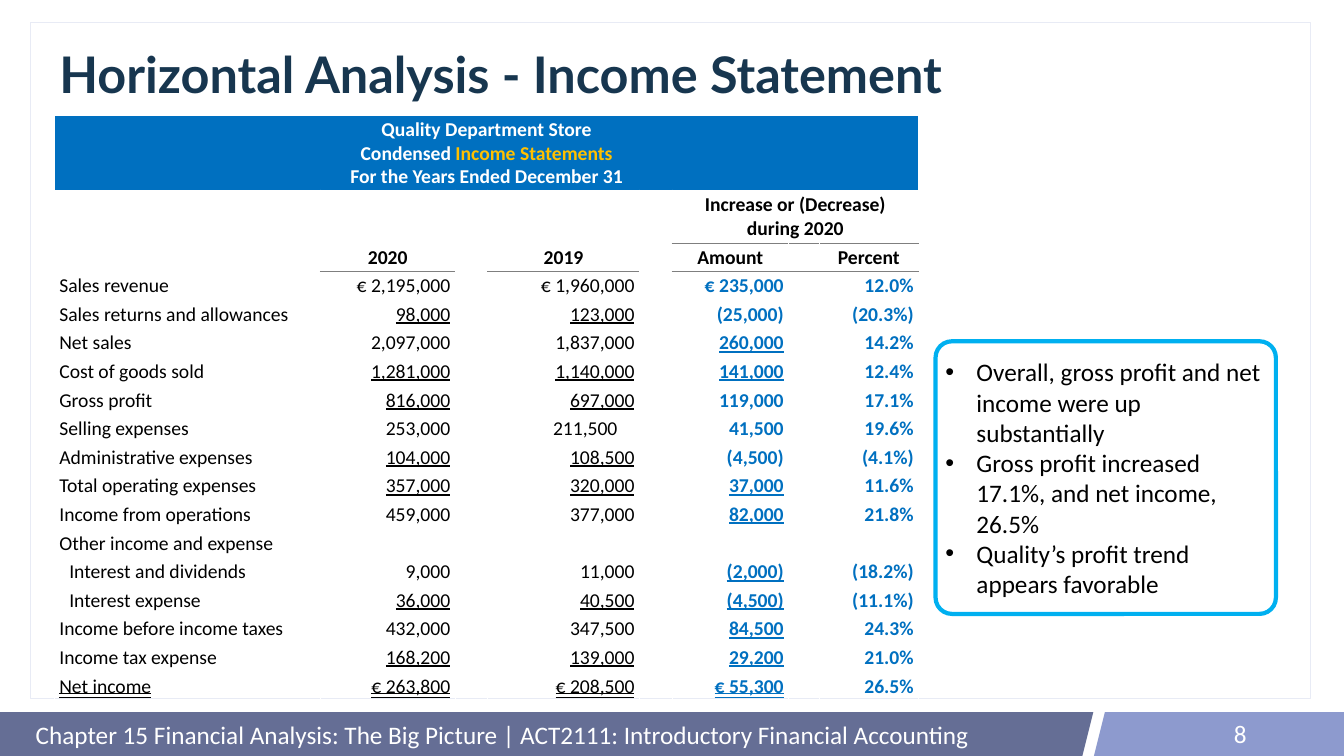
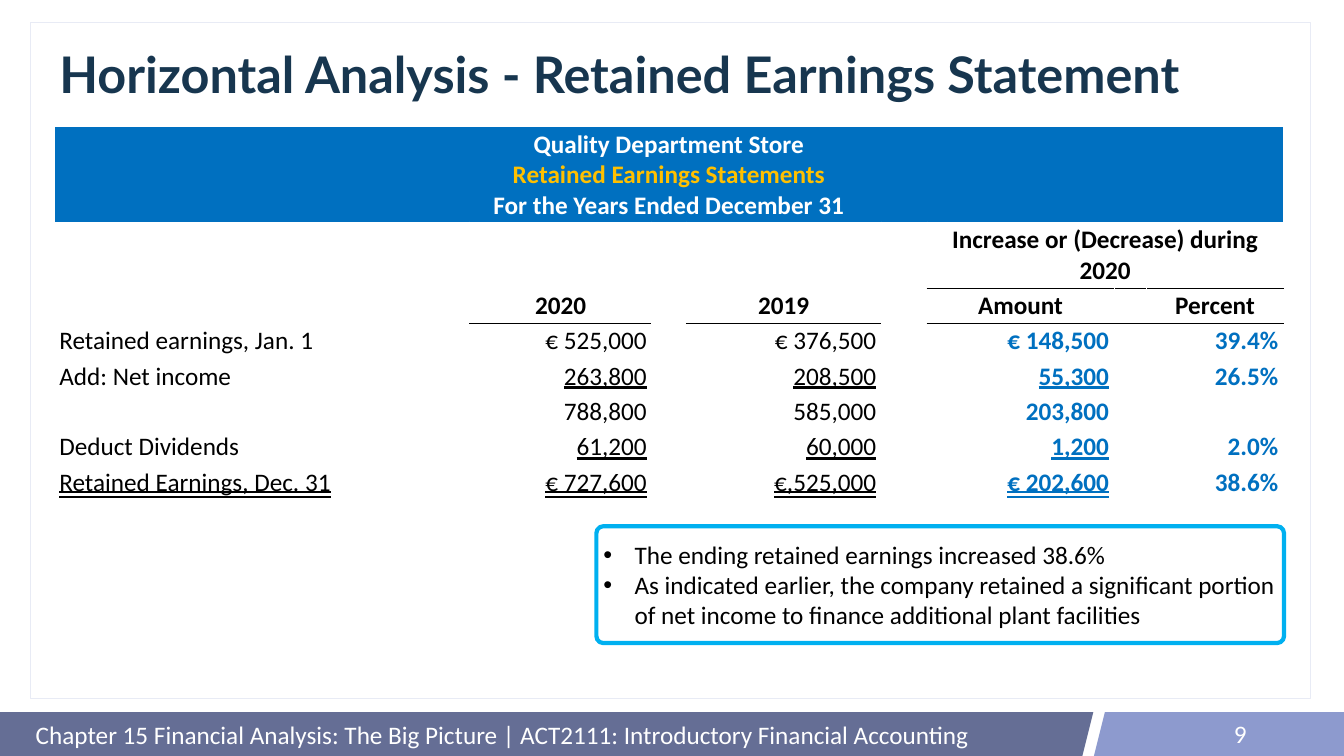
import dataclasses
from typing import Any

import pptx
import pptx.dml.color
import pptx.enum.shapes
import pptx.enum.text
import pptx.oxml
import pptx.oxml.ns
import pptx.util

Cm = pptx.util.Cm
Pt = pptx.util.Pt
SHAPE = pptx.enum.shapes.MSO_SHAPE
ALIGN = pptx.enum.text.PP_ALIGN
MIDDLE = pptx.enum.text.MSO_ANCHOR.MIDDLE
DOUBLE = pptx.enum.text.MSO_UNDERLINE.DOUBLE_LINE

COLORS = {
    "white": "FFFFFF", "black": "000000", "navy": "17364F", "slate": "656E95",
    "periwinkle": "8D9ACE", "frame": "E8EBF5", "blue": "0070C0",
    "gold": "FFC000", "sky": "00B0F0", "grey": "7F7F7F",
}
TITLE = {"name": "Lato", "size": Pt(72), "bold": True}
BODY = {"name": "Calibri", "size": Pt(36), "bold": False}
FOOTER = "Chapter 15 Financial Analysis: The Big Picture | ACT2111: Introductory Financial Accounting"
COMPANY, PERIOD = "Quality Department Store", "For the Years Ended December 31"
HEADINGS = {1: "2020", 3: "2019", 5: "Amount", 7: "Percent"}
# Columns with a rule below them, by row
RULED = {1: (5, 6, 7), 2: (1, 3, 5, 6, 7)}
HEAD_ROWS = 3


@dataclasses.dataclass
class Box:
    left: float
    top: float
    width: float
    height: float

    def cm(self) -> list[int]:
        return [Cm(v) for v in dataclasses.astuple(self)]


@dataclasses.dataclass
class Band:
    box: Box
    kind: Any
    color: str


@dataclasses.dataclass
class Line:
    """One statement line; under is years, amount, all or double."""
    label: str
    y2020: str = ""
    y2019: str = ""
    amount: str = ""
    percent: str = ""
    under: str = ""
    indent: float = 0
    inset_2019: float = 0.25

    def underline(self, col: int) -> Any:
        if self.under == "double" and col < 7:
            return DOUBLE
        marked = {"years": (1, 3), "amount": (5,), "all": (1, 3, 5)}
        return col in marked.get(self.under, ())


@dataclasses.dataclass
class Statement:
    title: str
    number: int
    heading: list[tuple[str, str]]
    top: float
    columns: list[float]
    head_heights: list[float]
    row_height: float
    size: int
    rule: str
    lines: list[Line]
    note_box: Box
    notes: list[str]


BANDS = [
    Band(Box(0, 35.89, 50.67, 2.21), SHAPE.RECTANGLE, "slate"),
    Band(Box(44.17, 35.89, 10.92, 2.21), SHAPE.PARALLELOGRAM, "slate"),
    Band(Box(55.12, 35.89, 10.92, 2.21), SHAPE.PARALLELOGRAM, "periwinkle"),
    Band(Box(56.82, 35.89, 10.9, 2.21), SHAPE.RECTANGLE, "periwinkle"),
]

STATEMENTS = [
    Statement(
        "Horizontal Analysis - Income Statement", 8,
        [("Condensed ", "white"), ("Income Statements", "gold")],
        5.79, [13.39, 6.81, 1.63, 7.65, 1.63, 5.89, 1.52, 5.03],
        [3.78, 2.64, 1.44], 1.44, 28, "grey",
        [
            Line("Sales revenue", "€ 2,195,000", "€ 1,960,000", "€ 235,000", "12.0%"),
            Line("Sales returns and allowances", "98,000", "123,000", "(25,000)", "(20.3%)", "years"),
            Line("Net sales", "2,097,000", "1,837,000", "260,000", "14.2%", "amount"),
            Line("Cost of goods sold", "1,281,000", "1,140,000", "141,000", "12.4%", "all"),
            Line("Gross profit", "816,000", "697,000", "119,000", "17.1%", "years"),
            Line("Selling expenses", "253,000", "211,500", "41,500", "19.6%", inset_2019=1.11),
            Line("Administrative expenses", "104,000", "108,500", "(4,500)", "(4.1%)", "years"),
            Line("Total operating expenses", "357,000", "320,000", "37,000", "11.6%", "all"),
            Line("Income from operations", "459,000", "377,000", "82,000", "21.8%", "amount"),
            Line("Other income and expense"),
            Line("Interest and dividends", "9,000", "11,000", "(2,000)", "(18.2%)", "amount", 0.5),
            Line("Interest expense", "36,000", "40,500", "(4,500)", "(11.1%)", "all", 0.5),
            Line("Income before income taxes", "432,000", "347,500", "84,500", "24.3%", "amount"),
            Line("Income tax expense", "168,200", "139,000", "29,200", "21.0%", "all"),
            Line("Net income", "€ 263,800", "€ 208,500", "€ 55,300", "26.5%", "double"),
        ],
        Box(47.14, 17.2, 17.15, 13.74),
        ["Overall, gross profit and net income were up substantially",
         "Gross profit increased 17.1%, and net income, 26.5%",
         "Quality’s profit trend appears favorable"],
    ),
    Statement(
        "Horizontal Analysis - Retained Earnings Statement", 9,
        [("Retained Earnings Statements", "gold")],
        6.38, [20.93, 9.17, 1.73, 9.83, 2.31, 9.42, 1.65, 6.88],
        [4.83, 3.3, 1.78], 1.78, 36, "black",
        [
            Line("Retained earnings, Jan. 1", "€ 525,000", "€ 376,500", "€ 148,500", "39.4%"),
            Line("Add: Net income", "263,800", "208,500", "55,300", "26.5%", "all"),
            Line("", "788,800", "585,000", "203,800"),
            Line("Deduct Dividends", "61,200", "60,000", "1,200", "2.0%", "all"),
            Line("Retained Earnings, Dec. 31", "€ 727,600", "€,525,000", "€ 202,600", "38.6%", "double"),
        ],
        Box(30.05, 26.52, 34.65, 5.89),
        ["The ending retained earnings increased 38.6%",
         "As indicated earlier, the company retained a significant portion "
         "of net income to finance additional plant facilities"],
    ),
]


def rgb(color: str) -> pptx.dml.color.RGBColor:
    return pptx.dml.color.RGBColor.from_string(COLORS[color])


def add_run(p: Any, text: str, color: str, values: dict[str, Any]) -> None:
    r = p.add_run()
    r.text = text
    for name, value in values.items():
        setattr(r.font, name, value)
    r.font.color.rgb = rgb(color)


def add_text(s: Any, box: Box, text: str, color: str, values: dict[str, Any],
             align: Any = ALIGN.LEFT, spacing: float = 1.0) -> None:
    tf = s.shapes.add_textbox(*box.cm()).text_frame
    tf.word_wrap = True
    tf.vertical_anchor = MIDDLE
    p = tf.paragraphs[0]
    p.alignment, p.line_spacing = align, spacing
    add_run(p, text, color, values)


def add_block(s: Any, kind: Any, box: Box, fill: str, line: str = "", width: float = 1) -> Any:
    sp = s.shapes.add_shape(kind, *box.cm())
    sp.shadow.inherit = False
    sp.fill.solid()
    sp.fill.fore_color.rgb = rgb(fill)
    if line:
        sp.line.color.rgb = rgb(line)
        sp.line.width = Pt(width)
    else:
        sp.line.fill.background()
    return sp


def add_frame(s: Any, st: Statement) -> None:
    """Footer bands, content panel, title and footer text."""
    for band in BANDS:
        add_block(s, band.kind, band.box, band.color)
    panel = add_block(s, SHAPE.RECTANGLE, Box(1.55, 1.12, 64.49, 34.06), "white", "frame")
    fill = panel.fill._xPr.find(pptx.oxml.ns.qn("a:solidFill"))
    alpha = pptx.oxml.parse_xml(f'<a:alpha {pptx.oxml.ns.nsdecls("a")} val="85000"/>')
    fill[0].append(alpha)
    add_text(s, Box(2.74, 2.03, 61.95, 3.68), st.title, "navy", TITLE, spacing=0.9)


def add_footer(s: Any, number: int) -> None:
    add_text(s, Box(1.55, 35.94, 52.32, 2.16), FOOTER, "white", BODY)
    add_text(s, Box(47.83, 35.94, 15.24, 2.03), str(number), "white", BODY, ALIGN.RIGHT)


def set_borders(cell: Any, row: int, col: int, rule: str) -> None:
    below = rule if col in RULED.get(row, ()) else "white"
    above = rule if col in RULED.get(row - 1, ()) else "white"
    sides = {"lnL": ("white", 1), "lnR": ("white", 1), "lnT": (above, 1),
             "lnB": (below, 3 if row == 0 else 1)}
    tcPr = cell._tc.get_or_add_tcPr()
    for tag, (color, width) in sides.items():
        tcPr.append(pptx.oxml.parse_xml(
            f'<a:{tag} {pptx.oxml.ns.nsdecls("a")} w="{Pt(width)}"><a:solidFill>'
            f'<a:srgbClr val="{COLORS[color]}"/></a:solidFill></a:{tag}>'))


def add_statement(s: Any, st: Statement) -> None:
    heights = st.head_heights + [st.row_height] * len(st.lines)
    box = Box(2.74, st.top, sum(st.columns), sum(heights))
    table = s.shapes.add_table(len(heights), len(st.columns), *box.cm()).table
    table.first_row = table.horz_banding = False
    for col, width in zip(table.columns, st.columns):
        col.width = Cm(width)
    for row, height in zip(table.rows, heights):
        row.height = Cm(height)
    table.cell(0, 0).merge(table.cell(0, 7))
    table.cell(1, 5).merge(table.cell(1, 7))

    # Borders and fills
    for i in range(len(heights)):
        for j in range(len(st.columns)):
            cell = table.cell(i, j)
            set_borders(cell, i, j, st.rule)
            if i == 0:
                cell.fill.solid()
                cell.fill.fore_color.rgb = rgb("blue")
            else:
                cell.fill.background()

    regular = BODY | {"size": Pt(st.size)}
    bold = regular | {"bold": True}

    # Heading rows
    tf = table.cell(0, 0).text_frame
    heading = [[(COMPANY, "white")], st.heading, [(PERIOD, "white")]]
    for i, runs in enumerate(heading):
        p = tf.add_paragraph() if i else tf.paragraphs[0]
        p.alignment = ALIGN.CENTER
        for text, color in runs:
            add_run(p, text, color, bold)
    labels = {(1, 5): "Increase or (Decrease) during 2020"}
    labels |= {(2, col): text for col, text in HEADINGS.items()}
    for (row, col), text in labels.items():
        p = table.cell(row, col).text_frame.paragraphs[0]
        p.alignment = ALIGN.CENTER
        add_run(p, text, "black", bold)

    # Statement lines
    for i, line in enumerate(st.lines, HEAD_ROWS):
        values = {0: line.label, 1: line.y2020, 3: line.y2019, 5: line.amount, 7: line.percent}
        table.cell(i, 0).margin_left = Cm(0.25 + line.indent)
        table.cell(i, 3).margin_right = Cm(line.inset_2019)
        for col, text in values.items():
            if not text:
                continue
            p = table.cell(i, col).text_frame.paragraphs[0]
            p.alignment = ALIGN.RIGHT if col else ALIGN.LEFT
            color, font = ("blue", bold) if col >= 5 else ("black", regular)
            add_run(p, text, color, font | {"underline": line.underline(col)})


def add_notes_box(s: Any, box: Box, notes: list[str]) -> None:
    sp = add_block(s, SHAPE.ROUNDED_RECTANGLE, box, "white", "sky", 6)
    sp.adjustments[0] = 0.06
    tf = sp.text_frame
    tf.word_wrap = True
    tf.vertical_anchor = MIDDLE
    for i, note in enumerate(notes):
        p = tf.add_paragraph() if i else tf.paragraphs[0]
        p.alignment = ALIGN.LEFT
        pPr = p._p.get_or_add_pPr()
        pPr.set("marL", str(Cm(1.57)))
        pPr.set("indent", str(-Cm(1.57)))
        ns = pptx.oxml.ns.nsdecls("a")
        pPr.append(pptx.oxml.parse_xml(f'<a:buFont {ns} typeface="Arial"/>'))
        pPr.append(pptx.oxml.parse_xml(f'<a:buChar {ns} char="•"/>'))
        add_run(p, note, "black", BODY)


def main() -> None:
    prs = pptx.Presentation()
    prs.slide_width, prs.slide_height = Cm(67.72), Cm(38.1)
    for st in STATEMENTS:
        s = prs.slides.add_slide(prs.slide_layouts[6])
        add_frame(s, st)
        add_statement(s, st)
        add_notes_box(s, st.note_box, st.notes)
        add_footer(s, st.number)
    prs.save("out.pptx")


if __name__ == "__main__":
    main()
